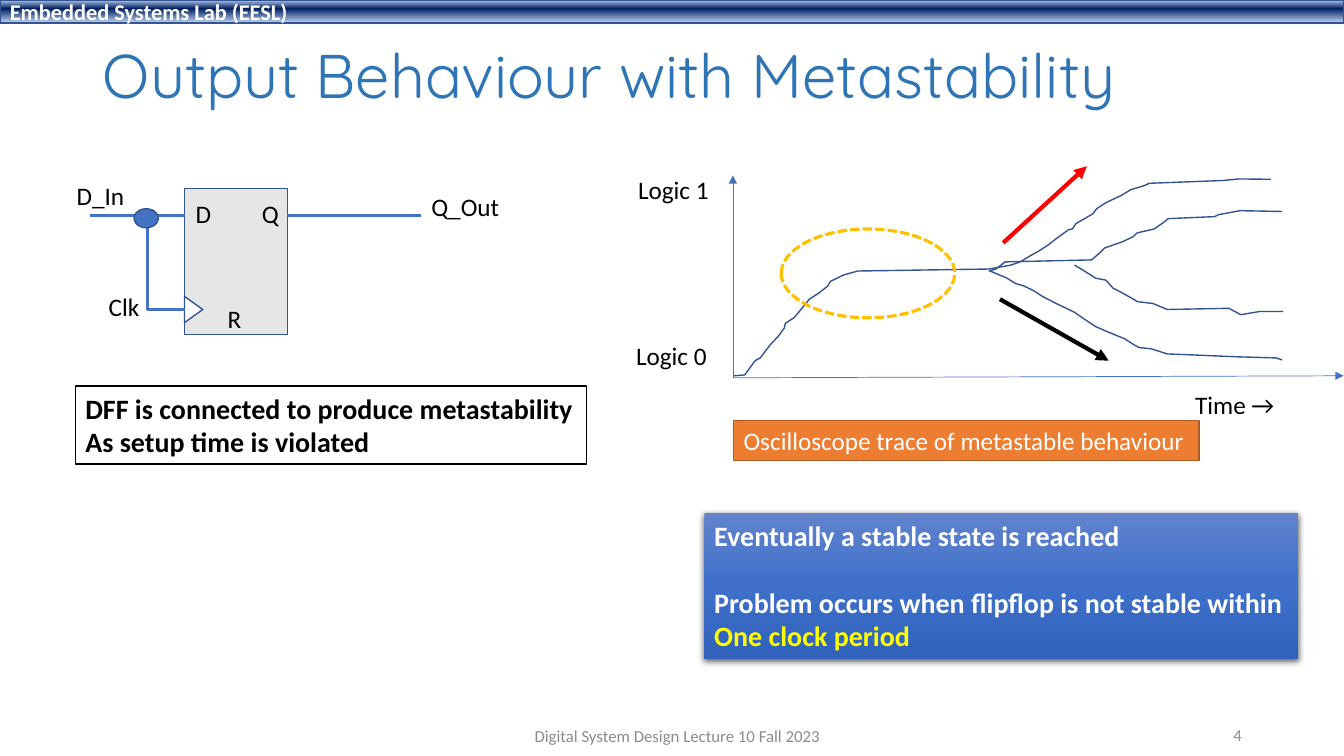
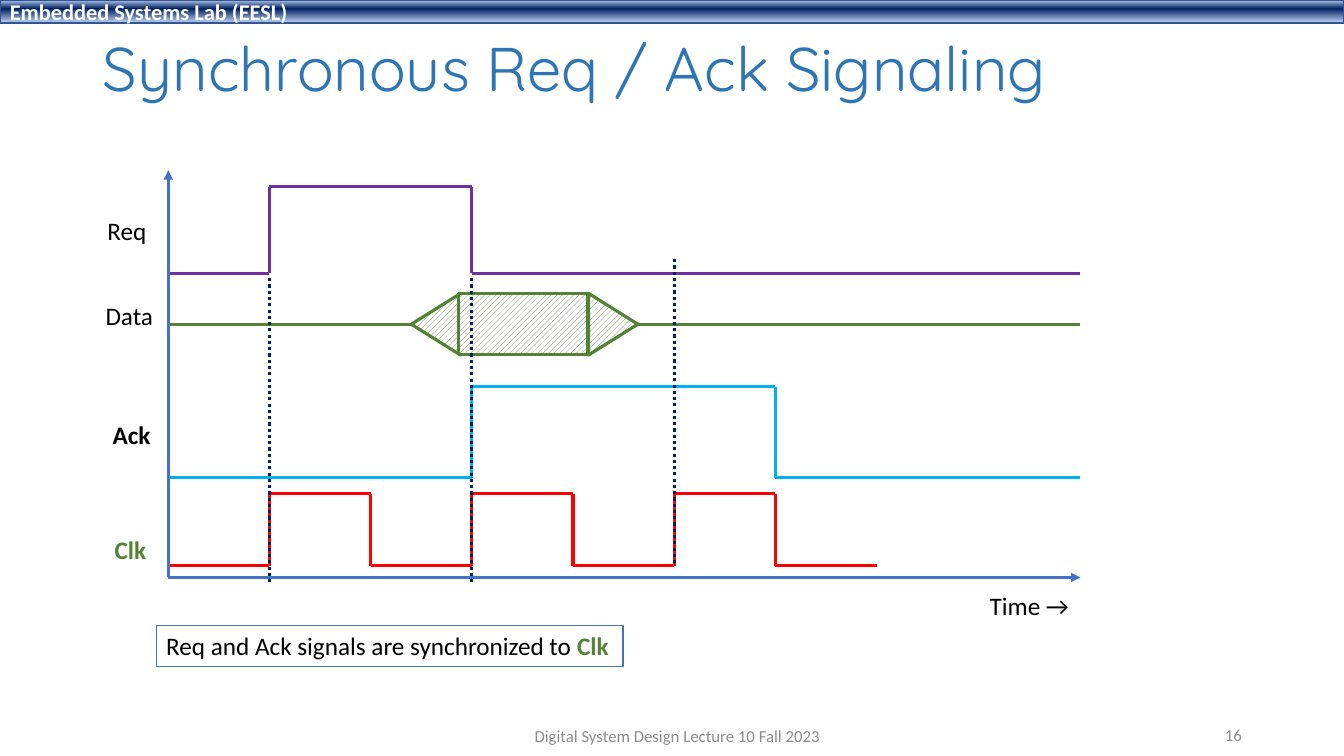
import lxml.etree
import pptx
import pptx.dml.color
import pptx.enum.dml
import pptx.enum.shapes
import pptx.enum.text
import pptx.oxml
import pptx.oxml.ns
import pptx.util
from typing import NamedTuple

Cm = pptx.util.Cm
Pt = pptx.util.Pt
qn = pptx.oxml.ns.qn
SHAPE = pptx.enum.shapes.MSO_SHAPE
DASH = pptx.enum.dml.MSO_LINE
ALIGN = pptx.enum.text.PP_ALIGN
MIDDLE = pptx.enum.text.MSO_ANCHOR.MIDDLE

COLOURS = {
    "black": "000000", "white": "FFFFFF", "grey": "8C8C8C", "pale": "E7E6E6",
    "title": "2E75B6", "blue": "4472C4", "edge": "325491", "navy": "002060",
    "red": "FF0000", "gold": "FFC000", "yellow": "FFFF00", "sky": "00B0F0",
    "green": "548235", "purple": "7030A0", "orange": "ED7D31", "rust": "AF5C24",
}
BAND_STOPS = [(2, "ABC0E4"), (38, "002060"), (93, "ABC0E4")]
PANEL_STOPS = [(0, "6183CB"), (50, "3E70CA"), (100, "3062BB")]

# Oscilloscope traces, in cm from the top left of the plot
TRACES = [
    [(0.03, 5.05), (0.3, 5.03), (0.56, 4.67), (0.69, 4.6), (0.94, 4.27),
     (1.14, 4.06), (1.3, 3.84), (1.32, 3.73), (1.55, 3.58), (1.93, 3.12),
     (2.16, 2.97), (2.39, 2.79), (2.46, 2.67), (2.79, 2.51), (3.15, 2.41),
     (6.45, 2.36), (7.01, 2.26), (7.24, 2.18), (7.49, 2.03), (7.72, 1.9),
     (7.95, 1.75), (8.18, 1.57), (8.46, 1.37), (8.56, 1.35), (8.64, 1.22),
     (9.07, 0.97), (9.17, 0.84), (9.4, 0.69), (9.78, 0.51), (10.03, 0.36),
     (10.39, 0.25), (10.49, 0.2), (12.34, 0.13), (12.75, 0.09), (13.56, 0.1)],
    [(6.45, 2.41), (6.63, 2.36), (6.86, 2.18), (9.04, 2.13), (9.27, 1.93),
     (9.37, 1.83), (9.8, 1.68), (10.08, 1.55), (10.19, 1.45), (10.62, 1.35),
     (10.85, 1.19), (10.97, 1.09), (12.14, 1.04), (12.24, 0.99),
     (12.78, 0.89), (13.84, 0.91)],
    [(8.61, 2.26), (9.02, 2.51), (9.14, 2.59), (9.4, 2.64), (9.58, 2.84),
     (9.83, 2.97), (10.06, 3.1), (10.19, 3.18), (10.59, 3.23), (10.95, 3.38),
     (12.5, 3.35), (12.8, 3.51), (13.28, 3.43), (13.87, 3.43)],
    [(6.48, 2.41), (6.91, 2.59), (7.11, 2.72), (7.34, 2.79), (7.57, 2.9),
     (7.8, 3.05), (8.15, 3.23), (8.61, 3.45), (8.84, 3.61), (9.14, 3.81),
     (9.37, 3.91), (9.73, 4.06), (9.86, 4.11), (10.11, 4.27), (10.24, 4.34),
     (10.54, 4.37), (10.95, 4.5), (11.48, 4.52), (12.65, 4.57),
     (13.69, 4.6), (13.84, 4.65)],
]


class Box(NamedTuple):
    left: float
    top: float
    width: float
    height: float

    def inner(self, left, top, width, height):
        return Box(self.left + left, self.top + top, width, height)

    def point(self, x, y):
        return self.left + x, self.top + y

    def lengths(self):
        return [Cm(value) for value in self]


# Basic shapes, lines and text
def rgb(name):
    return pptx.dml.color.RGBColor.from_string(COLOURS[name])


def style_font(font, size=None, colour="black", bold=None, face="Calibri"):
    font.name = face
    font.size = Pt(size) if size else None
    font.bold = bold
    font.color.rgb = rgb(colour)


def write(shape, lines, size=18, colour="black", bold=False, align=ALIGN.LEFT):
    frame = shape.text_frame
    frame.word_wrap = True
    frame.margin_right = 0
    frame.text = "\n".join(lines)
    for para in frame.paragraphs:
        para.alignment = align
        style_font(para.font, size, colour, bold)
    return frame


def add_label(page, box, text, **style):
    return write(page.shapes.add_textbox(*box.lengths()), [text], **style)


def style_line(line, colour, width, dash=None):
    line.color.rgb = rgb(colour)
    line.width = Pt(width)
    if dash:
        line.dash_style = dash


def add_block(page, box, fill=None, edge=None, kind=SHAPE.RECTANGLE, width=1):
    block = page.shapes.add_shape(kind, *box.lengths())
    block.shadow.inherit = False
    if fill:
        block.fill.solid()
        block.fill.fore_color.rgb = rgb(fill)
    else:
        block.fill.background()
    if edge:
        style_line(block.line, edge, width)
    else:
        block.line.fill.background()
    block.text_frame.vertical_anchor = pptx.enum.text.MSO_ANCHOR.TOP
    return block


def add_line(page, start, end, colour="blue", width=2.25, dash=None, arrow=False):
    line = page.shapes.add_connector(
        pptx.enum.shapes.MSO_CONNECTOR.STRAIGHT,
        *[Cm(value) for value in (*start, *end)])
    style_line(line.line, colour, width, dash)
    properties = line._element.spPr
    if arrow:
        outline = properties.find(qn("a:ln"))
        lxml.etree.SubElement(outline, qn("a:tailEnd"), type="triangle")
    lxml.etree.SubElement(properties, qn("a:effectLst"))


def add_wave(page, box, points, colour):
    corners = [box.point(*point) for point in points]
    for start, end in zip(corners, corners[1:]):
        add_line(page, start, end, colour)


def fill_gradient(shape, stops):
    shape.fill.gradient()
    shape.fill.gradient_angle = 270
    stop_list = shape._element.spPr.find(qn("a:gradFill")).find(qn("a:gsLst"))
    for stop in list(stop_list):
        stop_list.remove(stop)
    for position, colour in stops:
        stop = lxml.etree.SubElement(stop_list, qn("a:gs"), pos=str(position * 1000))
        lxml.etree.SubElement(stop, qn("a:srgbClr"), val=colour)


def add_soft_shadow(shape):
    effects = shape._element.spPr.find(qn("a:effectLst"))
    shadow = lxml.etree.SubElement(
        effects, qn("a:outerShdw"), blurRad=str(Pt(4.5)), dist=str(Pt(1.5)),
        dir="5400000", algn="ctr", rotWithShape="0")
    tint = lxml.etree.SubElement(shadow, qn("a:srgbClr"), val=COLOURS["black"])
    lxml.etree.SubElement(tint, qn("a:alpha"), val="63000")


# Band, title and footer shared by the slides
def add_page(deck, title, title_box, number):
    page = deck.slides.add_slide(deck.slide_layouts[5])
    band = add_block(page, Box(0, 0, 33.87, 0.58), edge="edge")
    fill_gradient(band, BAND_STOPS)
    frame = write(band, ["Embedded Systems Lab (EESL)"], 16, "white", True)
    frame.vertical_anchor = MIDDLE

    heading = page.shapes.title
    heading.left, heading.top, heading.width, heading.height = title_box.lengths()
    frame = heading.text_frame
    frame.text = title
    frame.vertical_anchor = MIDDLE
    frame.auto_size = pptx.enum.text.MSO_AUTO_SIZE.NONE
    para = frame.paragraphs[0]
    para.alignment = ALIGN.LEFT
    para.line_spacing = 0.9
    style_font(para.font, 44, "title", face="Quicksand")

    footers = [
        (Box(11.23, 18.03, 11.43, 1.02),
         "Digital System Design Lecture 10 Fall 2023", ALIGN.CENTER),
        (Box(23.93, 18, 7.37, 1.02), number, ALIGN.RIGHT),
    ]
    for box, text, align in footers:
        frame = add_label(page, box, text, size=12, colour="grey", align=align)
        frame.vertical_anchor = MIDDLE
    return page


# Flip-flop with data and clock tied together
def draw_flipflop(page, box):
    add_block(page, box.inner(2.97, 0.33, 2.59, 3.68), "pale", "edge")
    clock_mark = add_block(page, box.inner(2.87, 3.15, 0.66, 0.46), "white",
                           "edge", SHAPE.ISOSCELES_TRIANGLE)
    clock_mark.rotation = 90
    add_wave(page, box, [(0.58, 1.02), (2.97, 1.02)], "blue")
    add_wave(page, box, [(2.97, 3.38), (2.03, 3.38), (2.03, 1.02)], "blue")
    add_wave(page, box, [(5.55, 1.02), (8.94, 1.02)], "blue")
    add_block(page, box.inner(1.7, 0.84, 0.61, 0.48), "blue", "edge", SHAPE.OVAL)
    labels = [("D_In", 0, 0), ("Clk", 0.81, 2.79), ("D", 3, 0.46),
              ("Q", 4.67, 0.46), ("R", 3.81, 3.1), ("Q_Out", 8.94, 0.28)]
    for text, left, top in labels:
        add_label(page, box.inner(left, top, 2.4, 1.02), text)


# Oscilloscope plot with its four traces
def draw_scope(page, box):
    origin = box.point(0, box.height)
    add_line(page, origin, box.point(0, 0), width=0.5, arrow=True)
    add_line(page, origin, box.point(box.width, box.height - 0.05),
             width=0.5, arrow=True)
    for points in TRACES:
        corners = [tuple(Cm(value) for value in box.point(*point))
                   for point in points]
        builder = page.shapes.build_freeform(*corners[0])
        builder.add_line_segments(corners[1:], close=False)
        trace = builder.convert_to_shape()
        trace.shadow.inherit = False
        trace.fill.background()
        style_line(trace.line, "edge", 1)
    for text, left, top in [("Logic 1", -2.64, -0.15), ("Logic 0", -2.69, 4.04),
                            ("Time →", 11.4, 5.26)]:
        add_label(page, box.inner(left, top, 2.7, 1.02), text)
    add_line(page, box.point(6.81, 1.7), box.point(8.92, -0.23), "red", 3, arrow=True)
    add_line(page, box.point(6.73, 3.12), box.point(9.47, 4.67), "black", 3, arrow=True)
    ring = add_block(page, box.inner(1.22, 1.35, 4.37, 2.24), edge="gold",
                     kind=SHAPE.OVAL, width=2.25)
    ring.line.dash_style = DASH.SQUARE_DOT


def draw_conclusion(page, box):
    panel = add_block(page, box)
    fill_gradient(panel, PANEL_STOPS)
    add_soft_shadow(panel)
    frame = write(panel, ["Eventually a stable state is reached",
                          "Problem occurs when flipflop is not stable within",
                          "One clock period"], 20, "white", True)
    frame.paragraphs[1].space_before = Pt(24)
    frame.paragraphs[2].font.color.rgb = rgb("yellow")


# Hatched data window between two data lines
def draw_data(page, box, middle):
    add_wave(page, box, [(0, middle), (6.12, middle)], "green")
    pieces = [(SHAPE.ISOSCELES_TRIANGLE, 5.97, 1.55, 1.24, 270),
              (SHAPE.RECTANGLE, 7.32, 3.25, 1.55, 0),
              (SHAPE.ISOSCELES_TRIANGLE, 10.44, 1.55, 1.24, 90)]
    for kind, left, width, height, turn in pieces:
        piece = add_block(page, box.inner(left, middle - height / 2, width, height),
                          edge="green", kind=kind, width=2.25)
        piece.rotation = turn
        piece.fill.patterned()
        piece.fill.pattern = pptx.enum.dml.MSO_PATTERN.WIDE_UPWARD_DIAGONAL
        piece.fill.fore_color.rgb = rgb("green")
        piece.fill.back_color.rgb = rgb("white")
    add_wave(page, box, [(11.84, middle), (box.width, middle)], "green")


def pulse_points(edges, low, high, end):
    points, level = [(0, low)], low
    for edge in edges:
        following = high if level == low else low
        points += [(edge, level), (edge, following)]
        level = following
    return points + [(end, level)]


# Timing diagram with axes, signals and clock edges
def draw_timing(page, box):
    half = 2.55  # half a clock period
    clock_edges = [half * step for step in range(1, 7)]
    waves = [("red", clock_edges, 9.96, 8.15, half * 7),
             ("sky", [half * 3, half * 6], 7.75, 5.46, box.width)]
    for colour, edges, low, high, end in waves:
        add_wave(page, box, pulse_points(edges, low, high, end), colour)
    draw_data(page, box, 3.88)
    add_wave(page, box, pulse_points([half, half * 3], 2.6, 0.41, box.width), "purple")
    for x, top, bottom in [(half, 2.72, 10.46), (half * 3, 2.72, 10.46),
                           (half * 5, 2.24, 9.96)]:
        add_line(page, box.point(x, top), box.point(x, bottom), "navy",
                 dash=DASH.ROUND_DOT)
    origin = box.point(0, box.height)
    for tip in [(0, 0), (box.width, box.height)]:
        add_line(page, origin, box.point(*tip), arrow=True)
    labels = [("Req", -1.78, 1, "black", False), ("Data", -1.83, 3.15, "black", False),
              ("Ack", -1.65, 6.15, "black", True), ("Clk", -1.6, 9.04, "green", True),
              ("Time →", 20.45, 10.46, "black", False)]
    for text, left, top, colour, bold in labels:
        add_label(page, box.inner(left, top, 2.7, 1.02), text, colour=colour, bold=bold)


def draw_note(page, box):
    note = add_block(page, box, "white", "blue")
    para = write(note, ["Req and Ack signals are synchronized to "]).paragraphs[0]
    span = para.add_run()
    span.text = "Clk"
    style_font(span.font, colour="green", bold=True)


def main():
    deck = pptx.Presentation()
    deck.slide_width, deck.slide_height = Cm(33.87), Cm(19.05)

    page = add_page(deck, "Output Behaviour with Metastability",
                    Box(2.34, 0.81, 29.21, 2.36), "4")
    draw_flipflop(page, Box(1.68, 4.42, 11.34, 4.01))
    draw_scope(page, Box(18.47, 4.42, 15.39, 5.1))
    draw_conclusion(page, Box(17.75, 12.93, 14.96, 3.68))
    caption = add_block(page, Box(18.49, 10.59, 11.73, 1.02), "orange", "rust")
    write(caption, ["Oscilloscope trace of metastable behaviour"], colour="white")
    cause = add_block(page, Box(1.9, 9.73, 12.88, 1.96), "white", "black")
    write(cause, ["DFF is connected to produce metastability",
                  "As setup time is violated"], 20, bold=True)

    page = add_page(deck, "Synchronous Req / Ack Signaling",
                    Box(2.34, 0.38, 29.21, 2.87), "16")
    draw_timing(page, Box(4.24, 4.29, 22.99, 10.26))
    draw_note(page, Box(3.94, 15.77, 11.76, 1.02))
    deck.save("out.pptx")


if __name__ == "__main__":
    main()
